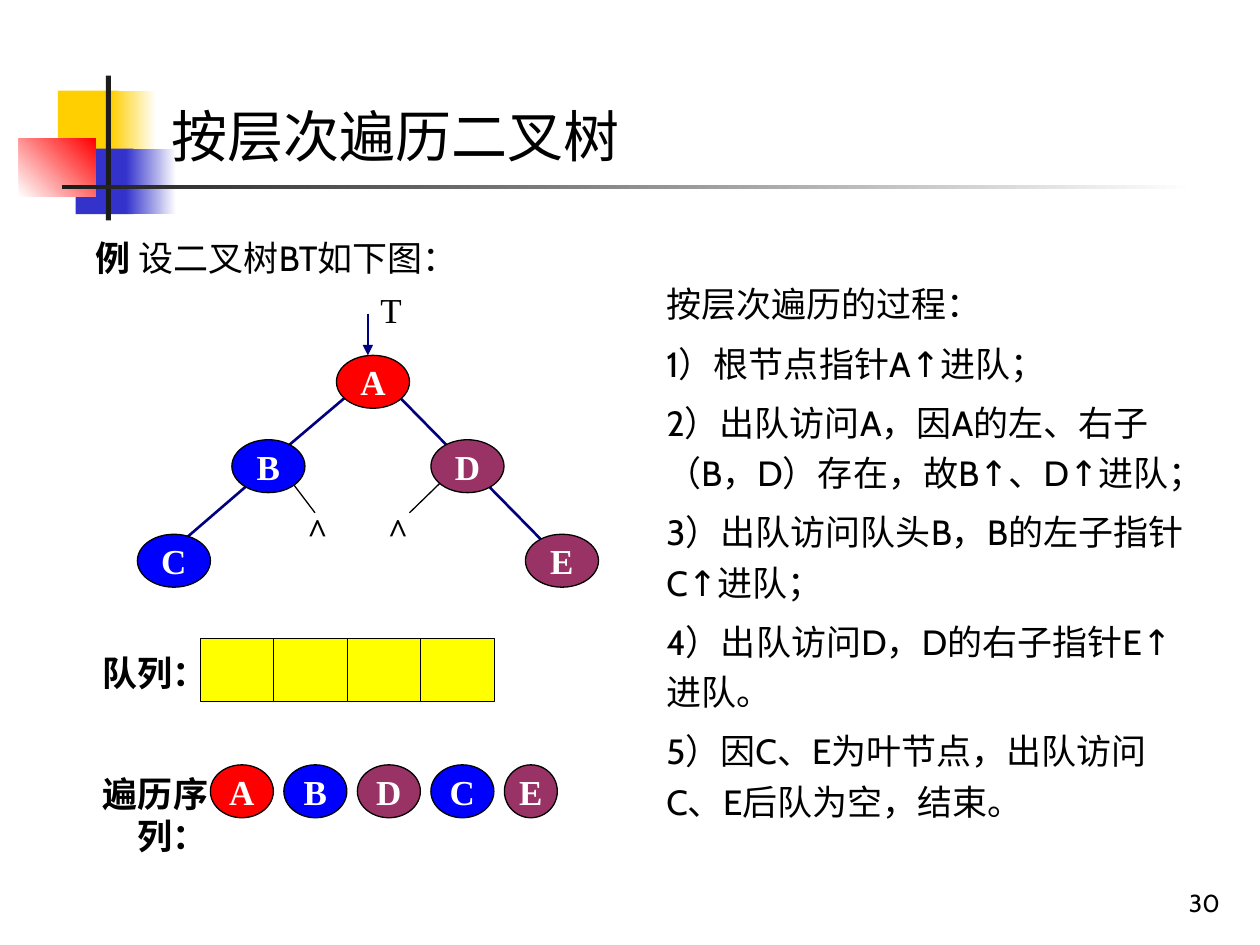
from lxml.etree import SubElement
from pptx import Presentation
from pptx.dml.color import RGBColor
from pptx.enum.shapes import MSO_CONNECTOR, MSO_SHAPE
from pptx.enum.text import MSO_ANCHOR, PP_ALIGN
from pptx.oxml.ns import qn
from pptx.util import Inches, Pt

COLORS = {
    "black": "000000", "white": "FFFFFF", "dark": "1C1C1C", "navy": "000080",
    "gold": "FFCF01", "indigo": "3333CC", "red": "FF0000", "blue": "0000FF",
    "plum": "993366", "yellow": "FFFF00",
}
SANS, SERIF, CJK = "Cabin", "Times New Roman", "Noto Sans CJK JP"
NODE_COLORS = {"A": "red", "B": "blue", "C": "blue", "D": "plum", "E": "plum"}
NODE_SIZE = (0.58, 0.42)
NODES = {"A": (2.67, 2.82), "B": (1.84, 3.49), "D": (3.42, 3.49),
         "C": (1.09, 4.24), "E": (4.17, 4.24)}
EDGES = [(2.84, 3.07, 2.25, 3.57), (3.09, 3.07, 3.67, 3.66),
         (2, 3.82, 1.42, 4.32), (3.84, 3.82, 4.42, 4.41)]
NULL_EDGES = [(2.25, 3.74, 2.5, 4.07), (3.59, 3.74, 3.25, 4.07)]
QUEUE_CELLS = 4
QUEUE_LEFT, QUEUE_STEP = 1.59, 7 / 12
STEPS = [
    "按层次遍历的过程：",
    "1）根节点指针A↑进队；",
    "2）出队访问A，因A的左、右子（B，D）存在，故B↑、D↑进队；",
    "3）出队访问队头B，B的左子指针C↑进队；",
    "4）出队访问D，D的右子指针E↑进队。",
    "5）因C、E为叶节点，出队访问C、E后队为空，结束。",
]


def rgb(name):
    return RGBColor.from_string(COLORS[name])


def write(tf, paragraphs, size=20, font=SERIF, color="black", bold=False,
          align=PP_ALIGN.LEFT, anchor=MSO_ANCHOR.TOP, wrap=True,
          before=0, spacing=None, tab=None, inset=0.1):
    """Each paragraph is a string or a list of (text, bold) runs."""
    tf.word_wrap = wrap
    tf.vertical_anchor = anchor
    tf.margin_left = Inches(inset)
    for i, runs in enumerate(paragraphs):
        p = tf.add_paragraph() if i else tf.paragraphs[0]
        p.alignment = align
        if i:
            p.space_before = Pt(before)
        if spacing:
            p.line_spacing = spacing
        if tab:
            tabs = SubElement(p._p.get_or_add_pPr(), qn("a:tabLst"))
            SubElement(tabs, qn("a:tab"), pos=str(Inches(tab)), algn="l")
        for text, is_bold in [(runs, bold)] if isinstance(runs, str) else runs:
            r = p.add_run()
            r.text = text
            r.font.size = Pt(size)
            r.font.name = font
            r.font.bold = is_bold
            r.font.color.rgb = rgb(color)
            SubElement(r._r.get_or_add_rPr(), qn("a:ea"), typeface=CJK)


def add_text(s, box, paragraphs, **fmt):
    sp = s.shapes.add_textbox(*map(Inches, box))
    write(sp.text_frame, paragraphs, **fmt)


def add_block(s, kind, box, fill, fade_to=None, angle=0, outlined=False):
    """Add a preset shape with a solid fill, or a fade from fill to fade_to."""
    sp = s.shapes.add_shape(kind, *map(Inches, box))
    sp.shadow.inherit = False
    if fade_to:
        sp.fill.gradient()
        sp.fill.gradient_angle = angle
        for stop, name in zip(sp.fill.gradient_stops, (fill, fade_to)):
            stop.color.rgb = rgb(name)
    else:
        sp.fill.solid()
        sp.fill.fore_color.rgb = rgb(fill)
    if outlined:
        sp.line.color.rgb = rgb("black")
        sp.line.width = Pt(0.75)
    else:
        sp.line.fill.background()
    return sp


def add_node(s, label, left, top, width, height):
    sp = add_block(s, MSO_SHAPE.OVAL, (left, top, width, height),
                   NODE_COLORS[label], outlined=True)
    write(sp.text_frame, [label], color="white", bold=True, wrap=False,
          align=PP_ALIGN.CENTER, anchor=MSO_ANCHOR.MIDDLE)


def add_line(s, ends, color="navy", width=1.5, arrow=False):
    line = s.shapes.add_connector(MSO_CONNECTOR.STRAIGHT, *map(Inches, ends))
    line.line.color.rgb = rgb(color)
    line.line.width = Pt(width)
    if arrow:
        SubElement(line.line._get_or_add_ln(), qn("a:tailEnd"), type="triangle")
    SubElement(line._element.spPr, qn("a:effectLst"))


def add_decoration(s):
    rect = MSO_SHAPE.RECTANGLE
    add_block(s, rect, (0.46, 0.72, 0.48, 0.52), "gold")
    add_block(s, rect, (0.88, 0.72, 0.36, 0.52), "gold", "white")
    add_block(s, rect, (0.6, 1.18, 0.46, 0.52), "indigo")
    add_block(s, rect, (1, 1.18, 0.4, 0.52), "indigo", "white")
    add_block(s, rect, (0.15, 1.1, 0.61, 0.46), "white", "red", angle=45)
    add_block(s, rect, (0.84, 0.6, 0.04, 1.15), "dark")
    add_block(s, rect, (0.49, 1.47, 9, 0.03), "dark", "white")


def add_tree(s):
    add_line(s, (2.92, 2.49, 2.92, 2.82), arrow=True)
    add_text(s, (2.92, 2.24, 0.58, 0.44), ["T"])
    for ends in EDGES:
        add_line(s, ends)
    for ends in NULL_EDGES:
        add_line(s, ends, color="black", width=0.75)
    add_text(s, (2.34, 3.99, 1.25, 0.44), ["^\t^"], bold=True, tab=0.64)
    for label, corner in NODES.items():
        add_node(s, label, *corner, *NODE_SIZE)


def add_queue_and_sequence(s):
    # The wide inset leaves room for three characters a line.
    add_text(s, (0.25, 5.12, 1.5, 1.38), ["队列：", "遍历序列："], bold=True,
             align=PP_ALIGN.RIGHT, before=45, inset=0.4)
    for i in range(QUEUE_CELLS):
        add_block(s, MSO_SHAPE.RECTANGLE,
                  (QUEUE_LEFT + i * QUEUE_STEP, 5.07, QUEUE_STEP, 0.5),
                  "yellow", outlined=True)
    for i, label in enumerate("ABDCE"):
        width = 0.42 if label == "E" else 0.5
        add_node(s, label, 1.67 + i * QUEUE_STEP, 6.07, width, 0.42)


def main():
    prs = Presentation()
    prs.slide_width, prs.slide_height = Inches(10), Inches(7.5)
    s = prs.slides.add_slide(prs.slide_layouts[6])
    add_decoration(s)
    add_text(s, (7.7, 6.83, 2.08, 0.5), ["30"], size=14, font=SANS,
             align=PP_ALIGN.RIGHT, anchor=MSO_ANCHOR.BOTTOM)
    add_text(s, (1.26, 0.76, 8.74, 0.64), ["按层次遍历二叉树"], size=32, font=CJK)
    add_text(s, (0.66, 1.83, 3.22, 0.44),
             [[("例 ", True), ("设二叉树BT如下图：", False)]], font=SANS)
    add_tree(s)
    add_queue_and_sequence(s)
    add_text(s, (5.19, 2.13, 4.39, 4.85), STEPS, font=SANS, before=5, spacing=1.2)
    prs.save("out.pptx")


if __name__ == "__main__":
    main()
